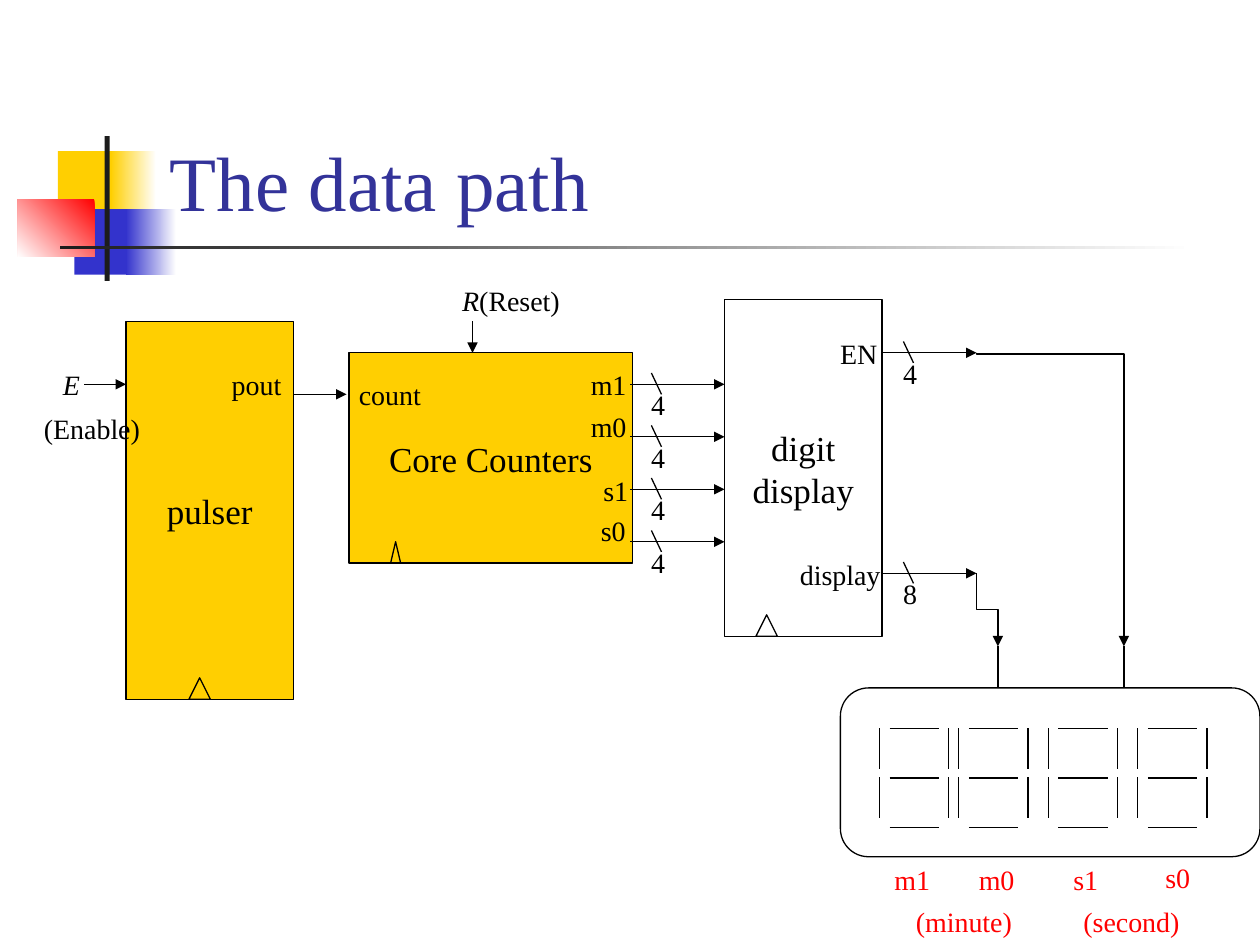
from pptx import Presentation
from pptx.dml.color import RGBColor as RGB
from pptx.enum.shapes import MSO_CONNECTOR as LINK, MSO_SHAPE as SHAPE
from pptx.enum.text import MSO_ANCHOR as ANCHOR, MSO_AUTO_SIZE as AUTO, PP_ALIGN as ALIGN
from pptx.oxml.ns import qn
from pptx.util import Inches, Pt
from lxml.etree import SubElement as Sub

BLACK, WHITE, RED = "000000", "FFFFFF", "FF0000"
GOLD, BLUE, NAVY, DARK = "FFCF01", "3333CC", "333399", "1C1C1C"


def color(code):
    return RGB.from_string(code)


def write(frame, text, lead="", size=16, ink=BLACK, font="Times New Roman",
          align=ALIGN.LEFT, anchor=ANCHOR.TOP, wrap=False):
    """Fill a text frame, one paragraph a line, after an italic lead."""
    frame.word_wrap = wrap
    frame.vertical_anchor = anchor
    for i, line in enumerate(text.split("\n")):
        para = frame.add_paragraph() if i else frame.paragraphs[0]
        para.alignment = align
        parts = [(line, False)] if i else [(lead, True), (line, False)]
        for words, slant in parts:
            if words:
                run = para.add_run()
                run.text = words
                run.font.name = font
                run.font.size = Pt(size)
                run.font.italic = slant
                run.font.color.rgb = color(ink)


class Pen:
    def __init__(self, slide, ink=BLACK, width=0.75, slack=0.03):
        self.shapes = slide.shapes
        self.ink = ink
        self.width = Pt(width)
        self.slack = slack

    def shape(self, kind, x, y, w, h, fill=None, line=True):
        item = self.shapes.add_shape(kind, *map(Inches, (x, y, w, h)))
        item.shadow.inherit = False
        if fill:
            item.fill.solid()
            item.fill.fore_color.rgb = color(fill)
        else:
            item.fill.background()
        if line:
            item.line.color.rgb = color(self.ink)
            item.line.width = self.width
        else:
            item.line.fill.background()
        return item

    def block(self, text, *box, fill=None):
        item = self.shape(SHAPE.RECTANGLE, *box, fill=fill)
        write(item.text_frame, text, size=20, align=ALIGN.CENTER, anchor=ANCHOR.MIDDLE)

    def bar(self, *box, fill):
        self.shape(SHAPE.RECTANGLE, *box, fill=fill, line=False)

    def fade(self, *box, start, end, angle=180):
        item = self.shape(SHAPE.RECTANGLE, *box, line=False)
        item.fill.gradient()
        item.fill.gradient_angle = angle
        for stop, code in zip(item.fill.gradient_stops, (start, end)):
            stop.color.rgb = color(code)

    def clock(self, x, y, w=0.17):
        self.shape(SHAPE.ISOSCELES_TRIANGLE, x, y, w, 0.17)

    def label(self, text, x, y, w, **fmt):
        """Add a one-line text box with a little slack in its width."""
        box = self.shapes.add_textbox(*map(Inches, (x, y, w + self.slack, 0.37)))
        write(box.text_frame, text, **fmt)
        box.text_frame.auto_size = AUTO.SHAPE_TO_FIT_TEXT

    def wire(self, x1, y1, x2, y2, head=False, kind=LINK.STRAIGHT):
        item = self.shapes.add_connector(kind, *map(Inches, (x1, y1, x2, y2)))
        item.line.color.rgb = color(self.ink)
        item.line.width = self.width
        props = item._element.spPr
        if head:
            Sub(props.find(qn("a:ln")), qn("a:tailEnd"), type="triangle")
        Sub(props, qn("a:effectLst"))
        return props

    def bend(self, x1, y1, x2, y2, turn):
        """Draw an elbow arrow that runs down, right and down again."""
        mx, my = (x1 + x2) / 2, (y1 + y2) / 2
        dx, dy = (y2 - y1) / 2, (x2 - x1) / 2
        props = self.wire(mx + dx, my - dy, mx - dx, my + dy, True, LINK.ELBOW)
        props.find(qn("a:xfrm")).set("rot", str(270 * 60000))
        geom = props.find(qn("a:prstGeom"))
        Sub(geom.find(qn("a:avLst")), qn("a:gd"), name="adj1",
            fmla=f"val {round(turn * 100000)}")

    def bus(self, x, y, bits):
        """Draw an arrow with a slash and its bit count."""
        self.wire(x, y, x + 0.75, y, True)
        self.wire(x + 0.17, y - 0.09, x + 0.25, y + 0.08)
        self.label(bits, x + 0.07, y - 0.02, 0.31)

    def digit(self, x, y):
        """Draw the seven segments of one digit."""
        for row in range(3):
            self.wire(x + 0.08, y + row * 0.395, x + 0.47, y + row * 0.395)
        for top in (y, y + 0.39):
            for side in (x, x + 0.55):
                self.wire(side, top, side, top + 0.32)


def decor(pen):
    pen.bar(0.46, 1.2, 0.48, 0.52, fill=GOLD)
    pen.fade(0.88, 1.2, 0.36, 0.52, start=WHITE, end=GOLD)
    pen.bar(0.59, 1.66, 0.46, 0.52, fill=BLUE)
    pen.fade(1, 1.66, 0.4, 0.52, start=WHITE, end=BLUE)
    pen.fade(0.14, 1.58, 0.61, 0.46, start=RED, end=WHITE, angle=225)
    pen.bar(0.83, 1.08, 0.04, 1.15, fill=DARK)
    pen.fade(0.48, 1.95, 9, 0.03, start=WHITE, end=DARK)


def title(pen, text):
    box = pen.shapes.add_textbox(*map(Inches, (1.25, 0.25, 8.52, 1.6)))
    write(box.text_frame, text, size=44, ink=NAVY, anchor=ANCHOR.BOTTOM, wrap=True)


def blocks(pen):
    pen.block("pulser", 1, 2.55, 1.33, 3, fill=GOLD)
    pen.clock(1.5, 5.38)
    pen.block("Core Counters", 2.77, 2.8, 2.25, 1.67, fill=GOLD)
    pen.clock(3.1, 4.3, 0.08)
    pen.block("digit\ndisplay", 5.75, 2.38, 1.25, 2.67)
    pen.clock(6, 4.88)
    for text, x, y, w in (
        ("pout", 1.74, 2.87, 0.59), ("count", 2.75, 2.95, 0.69),
        ("m1", 4.59, 2.87, 0.48), ("m0", 4.59, 3.2, 0.48),
        ("s1", 4.69, 3.71, 0.39), ("s0", 4.67, 4.03, 0.39),
        ("EN", 6.57, 2.62, 0.49), ("display", 6.25, 4.38, 0.84),
        ("(Enable)", 0.25, 3.22, 0.96),
    ):
        pen.label(text, x, y, w)
    pen.label("", 0.4, 2.87, 0.33, lead="E")
    pen.label("(Reset)", 3.57, 2.2, 0.97, lead="R")


def wires(pen):
    pen.wire(0.67, 3.05, 1, 3.05, True)
    pen.wire(2.33, 3.13, 2.75, 3.13, True)
    pen.wire(3.75, 2.55, 3.75, 2.8, True)
    for row in range(4):
        pen.bus(5, 3.05 + row * 1.25 / 3, "4")
    pen.bus(7, 2.8, "4")
    pen.bus(7, 4.55, "8")
    pen.bend(7.75, 4.55, 7.92, 5.13, 0.5)
    pen.bend(7.75, 2.8, 8.92, 5.13, 0.004)


def timer(pen):
    panel = pen.shape(SHAPE.ROUNDED_RECTANGLE, 6.67, 5.46, 3.33, 1.34)
    panel.adjustments[0] = 0.167
    for x in (7.92, 8.92):
        pen.wire(x, 5.46, x, 5.13)
    for x in (6.98, 7.61, 8.32, 9.03):
        pen.digit(x, 5.78)
    for text, x, y, w in (
        ("m1", 7, 6.8, 0.48), ("m0", 7.67, 6.8, 0.48),
        ("s1", 8.42, 6.8, 0.39), ("s0", 9.15, 6.78, 0.39),
        ("(minute)", 7.17, 7.13, 0.96), ("(second)", 8.5, 7.13, 0.96),
    ):
        pen.label(text, x, y, w, ink=RED)


def main():
    deck = Presentation()
    deck.slide_width, deck.slide_height = Inches(10), Inches(7.5)
    pen = Pen(deck.slides.add_slide(deck.slide_layouts[6]))
    decor(pen)
    title(pen, "The data path")
    blocks(pen)
    wires(pen)
    timer(pen)
    deck.save("out.pptx")


if __name__ == "__main__":
    main()
